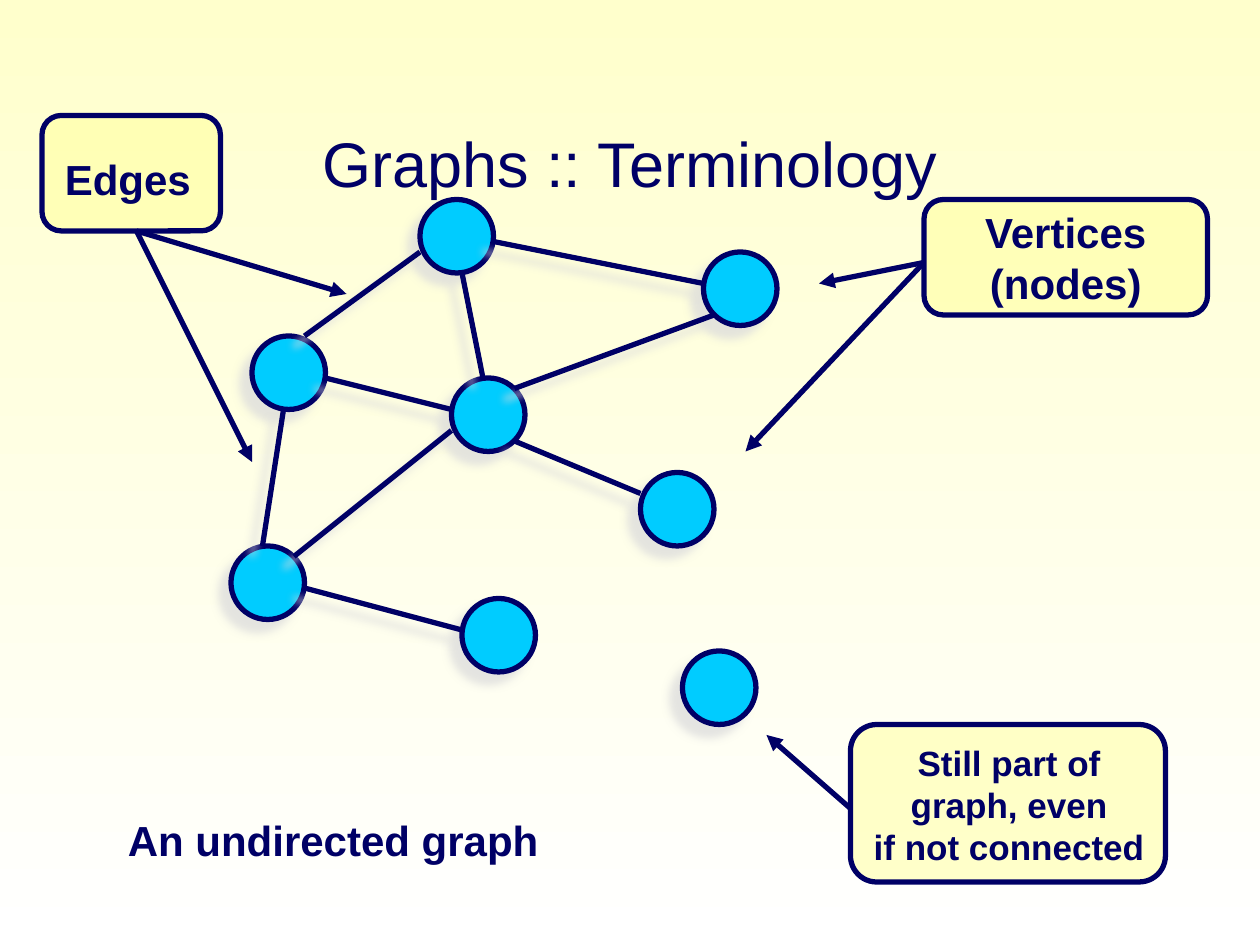
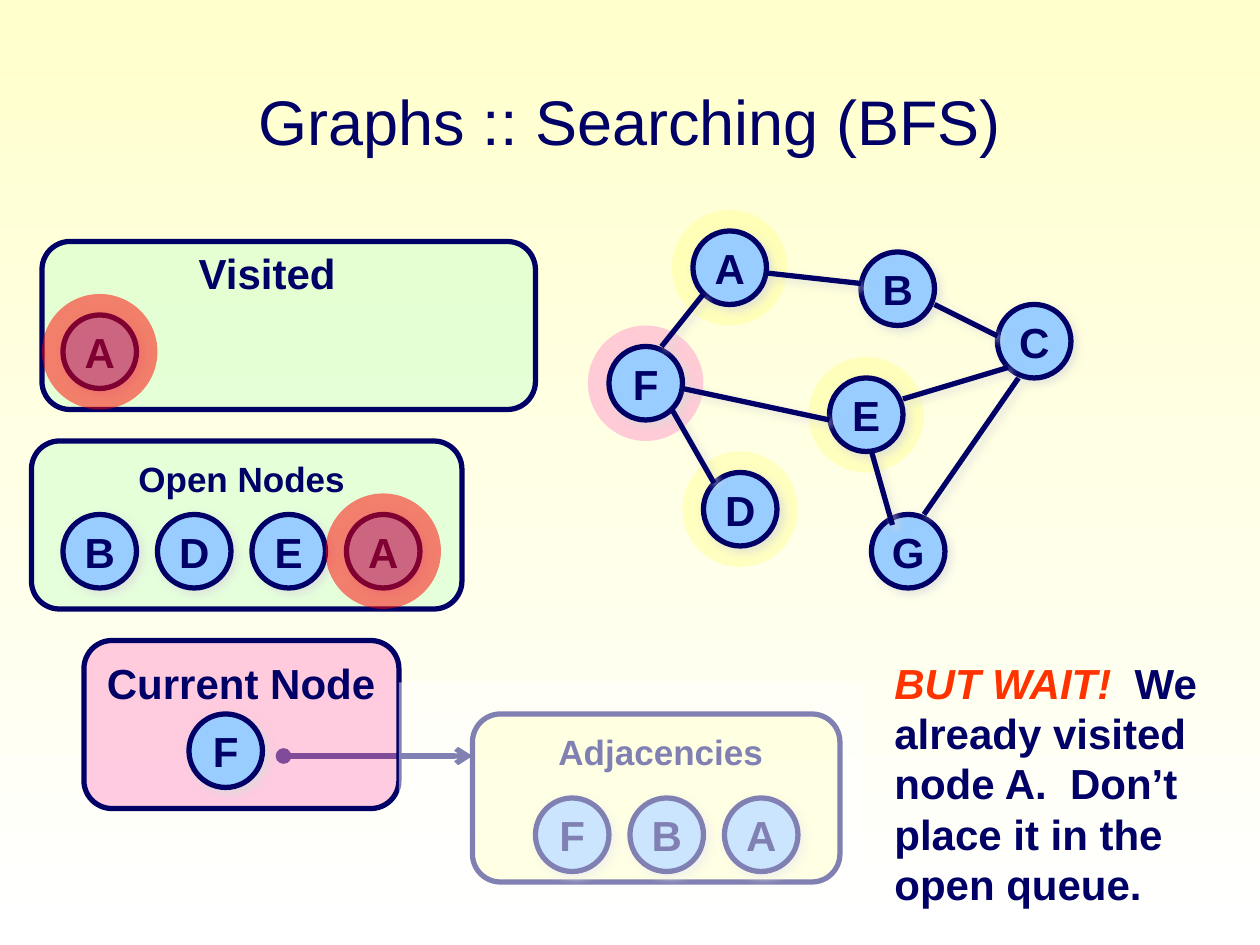
from dataclasses import dataclass
from typing import NamedTuple, Optional

from lxml import etree
from pptx import Presentation
from pptx.dml.color import RGBColor
from pptx.enum.shapes import MSO_CONNECTOR, MSO_SHAPE
from pptx.enum.text import MSO_ANCHOR, MSO_AUTO_SIZE, PP_ALIGN
from pptx.oxml.ns import qn
from pptx.util import Pt

STRAIGHT = MSO_CONNECTOR.STRAIGHT
ELLIPSE, RECTANGLE, ROUNDED = MSO_SHAPE.OVAL, MSO_SHAPE.RECTANGLE, MSO_SHAPE.ROUNDED_RECTANGLE
MIDDLE = MSO_ANCHOR.MIDDLE
LEFT, CENTER = PP_ALIGN.LEFT, PP_ALIGN.CENTER
GROW = MSO_AUTO_SIZE.SHAPE_TO_FIT_TEXT

NAVY = RGBColor(0x00, 0x00, 0x66)
CREAM = RGBColor(0xFF, 0xFF, 0xCC)
WHITE = RGBColor(0xFF, 0xFF, 0xFF)
CYAN = RGBColor(0x00, 0xCC, 0xFF)
SKY = RGBColor(0x99, 0xCC, 0xFF)
YELLOW = RGBColor(0xFF, 0xFF, 0x99)
GREEN = RGBColor(0xCC, 0xFF, 0xCC)
PINK = RGBColor(0xFF, 0x99, 0xCC)
RED = RGBColor(0xFF, 0x00, 0x00)
ORANGE = RGBColor(0xFF, 0x33, 0x00)
SHADOW_GREY = "DDDDDD"

FONT = "Arial"
LINE_WIDTH = 3
NODE_SIZE = 42
HALO_MARGIN = 12
NODE_PITCH = 54


class Shadow(NamedTuple):
    distance: float
    angle: int


class Box(NamedTuple):
    left: float
    top: float
    width: float
    height: float


class Line(NamedTuple):
    x1: float
    y1: float
    x2: float
    y2: float


class Node(NamedTuple):
    left: float
    top: float
    name: str = ""


@dataclass
class Label:
    box: Box
    lines: list[str]
    size: int = 24
    align: PP_ALIGN = LEFT


LOW_LEFT = Shadow(8.5, 135)
LOW_RIGHT = Shadow(3, 45)


def set_shadow(item, shadow: Optional[Shadow]) -> None:
    """Replace the theme shadow by the given one, or by none."""
    effects = etree.SubElement(item.element.spPr, qn("a:effectLst"))
    if shadow:
        outer = etree.SubElement(
            effects, qn("a:outerShdw"), blurRad=str(Pt(5)),
            dist=str(Pt(shadow.distance)), dir=str(shadow.angle * 60000),
            algn="ctr", rotWithShape="0")
        color = etree.SubElement(outer, qn("a:srgbClr"), val=SHADOW_GREY)
        etree.SubElement(color, qn("a:alpha"), val="75000")


def add_shape(page, kind, box: Box, color: RGBColor, half_clear: bool = False,
              outlined: bool = True, shadow: Optional[Shadow] = None):
    shape = page.shapes.add_shape(kind, *map(Pt, box))
    shape.fill.solid()
    shape.fill.fore_color.rgb = color
    if half_clear:
        fill_color = shape.element.spPr.find(qn("a:solidFill"))[0]
        etree.SubElement(fill_color, qn("a:alpha"), val="50000")
    if outlined:
        shape.line.color.rgb = NAVY
        shape.line.width = Pt(LINE_WIDTH)
    else:
        shape.line.fill.background()
    set_shadow(shape, shadow)
    return shape


def write(frame, lines: list[str], size: int, align: PP_ALIGN, bold: bool = True) -> None:
    for index, text in enumerate(lines):
        para = frame.add_paragraph() if index else frame.paragraphs[0]
        para.text = text
        para.alignment = align
        para.font.name = FONT
        para.font.size = Pt(size)
        para.font.bold = bold
        para.font.color.rgb = NAVY


def add_label(page, label: Label) -> None:
    frame = page.shapes.add_textbox(*map(Pt, label.box)).text_frame
    frame.word_wrap = False
    frame.auto_size = GROW
    write(frame, label.lines, label.size, label.align)


def add_panel(page, box: Box, color: RGBColor, label: Optional[Label] = None):
    panel = add_shape(page, ROUNDED, box, color, half_clear=True)
    if label:
        add_label(page, label)
    return panel


def write_centred(shape, lines: list[str]) -> None:
    frame = shape.text_frame
    frame.word_wrap = False
    frame.vertical_anchor = MIDDLE
    write(frame, lines, 24, CENTER)


def add_node(page, node: Node, color: RGBColor, shadow: Shadow) -> None:
    box = Box(node.left, node.top, NODE_SIZE, NODE_SIZE)
    circle = add_shape(page, ELLIPSE, box, color, shadow=shadow)
    if node.name:
        write_centred(circle, [node.name])


def add_row(page, names: str, left: float, top: float) -> None:
    for index, name in enumerate(names):
        add_node(page, Node(left + index * NODE_PITCH, top, name), SKY, LOW_RIGHT)


def add_halo(page, node: Node, color: RGBColor) -> None:
    size = NODE_SIZE + 2 * HALO_MARGIN
    box = Box(node.left - HALO_MARGIN, node.top - HALO_MARGIN, size, size)
    add_shape(page, ELLIPSE, box, color, half_clear=True, outlined=False)


def add_line(page, line: Line, shadow: Optional[Shadow] = None,
             head: str = "", tail: str = "") -> None:
    connector = page.shapes.add_connector(STRAIGHT, *map(Pt, line))
    connector.line.color.rgb = NAVY
    connector.line.width = Pt(LINE_WIDTH)
    outline = connector.element.spPr.find(qn("a:ln"))
    for tag, end in (("a:headEnd", head), ("a:tailEnd", tail)):
        if end:
            etree.SubElement(outline, qn(tag), type=end)
    set_shadow(connector, shadow)


def add_page(deck, title: str, title_top: float):
    """Blank page with the shared gradient and title style."""
    page = deck.slides.add_slide(deck.slide_layouts[6])
    fill = page.background.fill
    fill.gradient()
    fill.gradient_angle = 270
    for stop, color in zip(fill.gradient_stops, (CREAM, WHITE)):
        stop.color.rgb = color
    frame = page.shapes.add_textbox(Pt(54), Pt(title_top), Pt(612), Pt(90)).text_frame
    frame.word_wrap = True
    frame.vertical_anchor = MIDDLE
    write(frame, [title], 36, CENTER, bold=False)
    return page


def build_terminology(deck) -> None:
    page = add_page(deck, "Graphs :: Terminology", 48)

    # Graph
    nodes = [Node(132, 312), Node(240, 114), Node(144, 192), Node(264, 342),
             Node(402, 144), Node(366, 270), Node(258, 216)]
    edges = [Line(174, 336, 264, 360), Line(150, 312, 162, 234), Line(174, 192, 240, 144),
             Line(282, 138, 402, 162), Line(408, 180, 294, 222), Line(294, 252, 366, 282),
             Line(276, 216, 264, 156), Line(258, 234, 186, 216), Line(258, 246, 168, 318)]
    lone_node = Node(390, 372)
    for node in nodes:
        add_node(page, node, CYAN, LOW_LEFT)
    for edge in edges:
        add_line(page, edge, LOW_LEFT)
    add_node(page, lone_node, CYAN, LOW_LEFT)

    # Callouts
    vertices = add_panel(page, Box(528, 114, 162, 66), YELLOW)
    write_centred(vertices, ["Vertices", "(nodes)"])
    add_panel(page, Box(24, 66, 102, 66), YELLOW, Label(Box(30, 84, 86.4, 36), ["Edges"]))
    add_panel(page, Box(486, 414, 180, 90), YELLOW,
              Label(Box(492, 420, 169.2, 79.2),
                    ["Still part of", "graph, even", "if not connected"], 20, CENTER))
    pointers = [Line(528, 150, 468, 162), Line(528, 150, 426, 258), Line(78, 132, 198, 168),
                Line(78, 132, 144, 264), Line(486, 462, 438, 420)]
    for pointer in pointers:
        add_line(page, pointer, tail="triangle")

    add_label(page, Label(Box(66, 462, 249, 36), ["An undirected graph"]))


def add_warning(page) -> None:
    frame = page.shapes.add_textbox(Pt(504), Pt(372), Pt(198), Pt(151.2)).text_frame
    frame.word_wrap = True
    write(frame, ["", "already visited", "node A.  Don’t place it in the open queue."], 24, LEFT)
    opening = frame.paragraphs[0]
    alert = opening.add_run()
    alert.text = "BUT WAIT!"
    alert.font.italic = True
    alert.font.color.rgb = ORANGE
    opening.add_run().text = "  We"


def build_search(deck) -> None:
    page = add_page(deck, "Graphs :: Searching (BFS)", 24)
    visited_a, open_a = Node(36, 180, "A"), Node(198, 294, "A")

    # Adjacencies, below the veil
    add_panel(page, Box(270, 408, 210, 96), YELLOW,
              Label(Box(312, 414, 134, 31), ["Adjacencies"], 20))
    add_row(page, "FBA", 306, 456)
    add_line(page, Line(162, 432, 270, 432), head="oval", tail="arrow")

    # Graph with its highlighted nodes
    nodes = [Node(396, 132, "A"), Node(498, 294, "G"), Node(492, 144, "B"),
             Node(570, 174, "C"), Node(402, 270, "D"), Node(348, 198, "F"),
             Node(474, 216, "E")]
    edges = [Line(438, 156, 492, 162), Line(534, 174, 570, 192), Line(402, 168, 378, 198),
             Line(576, 210, 516, 228), Line(582, 216, 528, 294), Line(510, 300, 498, 258),
             Line(408, 276, 384, 234), Line(390, 222, 474, 240)]
    halos = {"A": YELLOW, "D": YELLOW, "E": YELLOW, "F": PINK}
    for node in nodes:
        if node.name in halos:
            add_halo(page, node, halos[node.name])
    for node in nodes:
        add_node(page, node, SKY, LOW_RIGHT)
    for edge in edges:
        add_line(page, edge, LOW_RIGHT)

    # Search state
    add_panel(page, Box(24, 138, 282, 96), GREEN,
              Label(Box(106.5, 138, 94, 36), ["Visited"]))
    add_row(page, "A", visited_a.left, visited_a.top)
    add_panel(page, Box(18, 252, 246, 96), GREEN,
              Label(Box(72, 258, 134, 31), ["Open Nodes"], 20))
    add_row(page, "BDEA", 36, open_a.top)
    add_panel(page, Box(48, 366, 180, 96), PINK,
              Label(Box(54, 372, 168, 36), ["Current Node"]))
    add_row(page, "F", 108, 408)
    add_warning(page)

    # Veil over the adjacencies, red marks on the repeated node
    add_shape(page, RECTANGLE, Box(228, 390, 264, 126), WHITE, half_clear=True, outlined=False)
    for repeated in (open_a, visited_a):
        add_halo(page, repeated, RED)


def main() -> None:
    deck = Presentation()
    deck.slide_width, deck.slide_height = Pt(720), Pt(540)
    build_terminology(deck)
    build_search(deck)
    deck.save("out.pptx")


if __name__ == "__main__":
    main()
